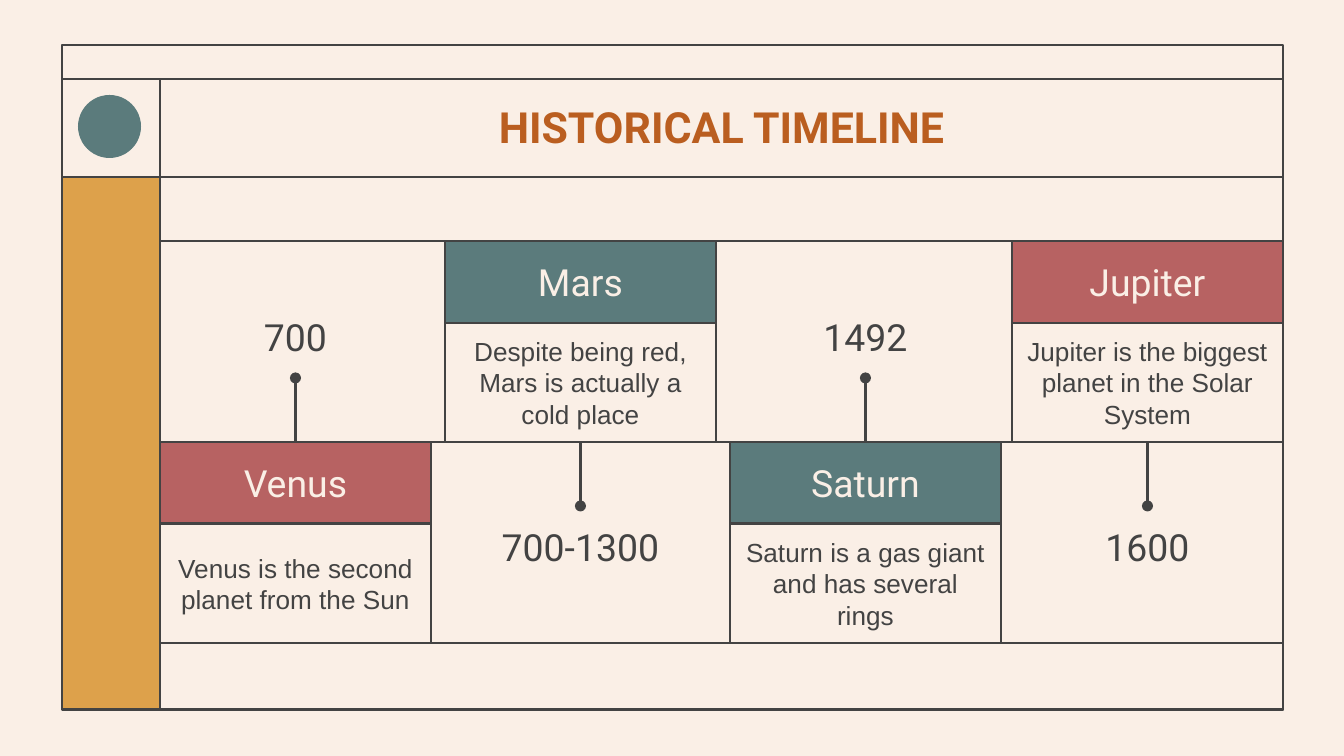
from lxml import etree
from pptx import Presentation
from pptx import util as u
from pptx.dml.color import RGBColor
from pptx.enum import shapes, text
from pptx.oxml.ns import qn

INK, CREAM, GOLD = "434343", "FAEFE6", "DDA14B"
TEAL, ROSE, RUST = "5B7B7C", "B76262", "BA5E20"

TITLE = "HISTORICAL TIMELINE"
EVENTS = [
    ("700", "Venus", "Venus is the second planet from the Sun", ROSE),
    ("700-1300", "Mars", "Despite being red, Mars is actually a cold place", TEAL),
    ("1492", "Saturn", "Saturn is a gas giant and has several rings", TEAL),
    ("1600", "Jupiter", "Jupiter is the biggest planet in the Solar System", ROSE),
]

TITLE_STYLE = {"size": u.Pt(23), "name": "Roboto", "bold": True}
HEAD_STYLE = {"size": u.Pt(20), "name": "Roboto", "bold": False}
BODY_STYLE = {"size": u.Pt(14), "name": "Arial", "bold": False}

SCALE = 914400 / 134.4
LEFT, SIDE, RIGHT = 62, 160, 1283
TOP, TITLE_TOP, TITLE_BOTTOM, BOTTOM = 45, 79, 177, 710
AXIS = 442
CARD_LEFTS = [160, 445, 730, 1012]
CARD_WIDTH, HEAD_HEIGHT, BODY_HEIGHT = 271, 82, 119
CARD_HEIGHT = HEAD_HEIGHT + BODY_HEIGHT
STEM = 64


def px(*lengths):
    return [u.Emu(round(length * SCALE)) for length in lengths]


def color(value):
    return RGBColor.from_string(value)


def paint(fill, value):
    fill.solid()
    fill.fore_color.rgb = color(value)


def write(shape, words, style, ink):
    frame = shape.text_frame
    settings = {"word_wrap": True, "auto_size": text.MSO_AUTO_SIZE.NONE,
                "vertical_anchor": text.MSO_ANCHOR.MIDDLE}
    for side in ("left", "right", "top", "bottom"):
        settings["margin_" + side] = u.Inches(0.1)
    for name, value in settings.items():
        setattr(frame, name, value)
    para = frame.paragraphs[0]
    para.alignment = text.PP_ALIGN.CENTER
    span = para.add_run()
    span.text = words
    for name, value in style.items():
        setattr(span.font, name, value)
    span.font.color.rgb = color(ink)


def add_block(page, place, fill=None, outlined=True, kind=shapes.MSO_SHAPE.RECTANGLE):
    box = page.shapes.add_shape(kind, *px(*place))
    box.shadow.inherit = False
    if fill:
        paint(box.fill, fill)
    else:
        box.fill.background()
    if outlined:
        box.line.color.rgb = color(INK)
        box.line.width = u.Pt(1.5)
    else:
        box.line.fill.background()
    return box


def add_line(page, x1, y1, x2, y2, dot=False):
    line = page.shapes.add_connector(shapes.MSO_CONNECTOR.STRAIGHT, *px(x1, y1, x2, y2))
    line.line.color.rgb = color(INK)
    line.line.width = u.Pt(1.5)
    if dot:
        outline = line._element.spPr.find(qn("a:ln"))
        etree.SubElement(outline, qn("a:tailEnd"), type="oval")
    etree.SubElement(line._element.spPr, qn("a:effectLst"))
    return line


def add_event(page, index, event):
    year, planet, fact, fill = event
    left = CARD_LEFTS[index]
    middle = left + CARD_WIDTH / 2
    above = index % 2 == 1
    top = AXIS - CARD_HEIGHT if above else AXIS
    head = add_block(page, (left, top, CARD_WIDTH, HEAD_HEIGHT), fill)
    write(head, planet, HEAD_STYLE, CREAM)
    body = add_block(page, (left, top + HEAD_HEIGHT, CARD_WIDTH, BODY_HEIGHT))
    write(body, fact, BODY_STYLE, INK)

    tip = AXIS + STEM if above else AXIS - STEM
    stem = add_line(page, middle, AXIS, middle, tip, dot=True)
    if above:
        stem.begin_connect(body, 2)
    else:
        stem.begin_connect(head, 0)
    year_top = tip if above else tip - HEAD_HEIGHT
    label = page.shapes.add_textbox(*px(left, year_top, CARD_WIDTH, HEAD_HEIGHT))
    write(label, year, HEAD_STYLE, INK)


def main():
    deck = Presentation()
    deck.slide_width, deck.slide_height = px(1344, 756)
    page = deck.slides.add_slide(deck.slide_layouts[5])
    paint(page.background.fill, CREAM)

    title = page.shapes.title
    title.left, title.top, title.width, title.height = px(169, 91, 1106, 71)
    paint(title.fill, CREAM)
    write(title, TITLE, TITLE_STYLE, RUST)

    add_block(page, (LEFT, TITLE_BOTTOM, SIDE - LEFT, BOTTOM - TITLE_BOTTOM), GOLD, outlined=False)
    add_block(page, (LEFT, TOP, RIGHT - LEFT, BOTTOM - TOP))
    for top, bottom in ((TITLE_BOTTOM, BOTTOM), (TITLE_TOP, TITLE_BOTTOM)):
        add_line(page, SIDE, top, SIDE, bottom)
    add_block(page, (78, 95, 63, 63), TEAL, outlined=False, kind=shapes.MSO_SHAPE.OVAL)
    add_line(page, SIDE, AXIS, RIGHT, AXIS)

    for index, event in enumerate(EVENTS):
        add_event(page, index, event)

    card_top, card_bottom = AXIS - CARD_HEIGHT, AXIS + CARD_HEIGHT
    for top, bottom in ((card_bottom, BOTTOM), (TITLE_BOTTOM, card_top)):
        add_block(page, (SIDE, top, RIGHT - SIDE, bottom - top), CREAM)
    for y in (TITLE_TOP, TITLE_BOTTOM):
        add_line(page, RIGHT, y, LEFT, y)

    deck.save("out.pptx")


if __name__ == "__main__":
    main()
